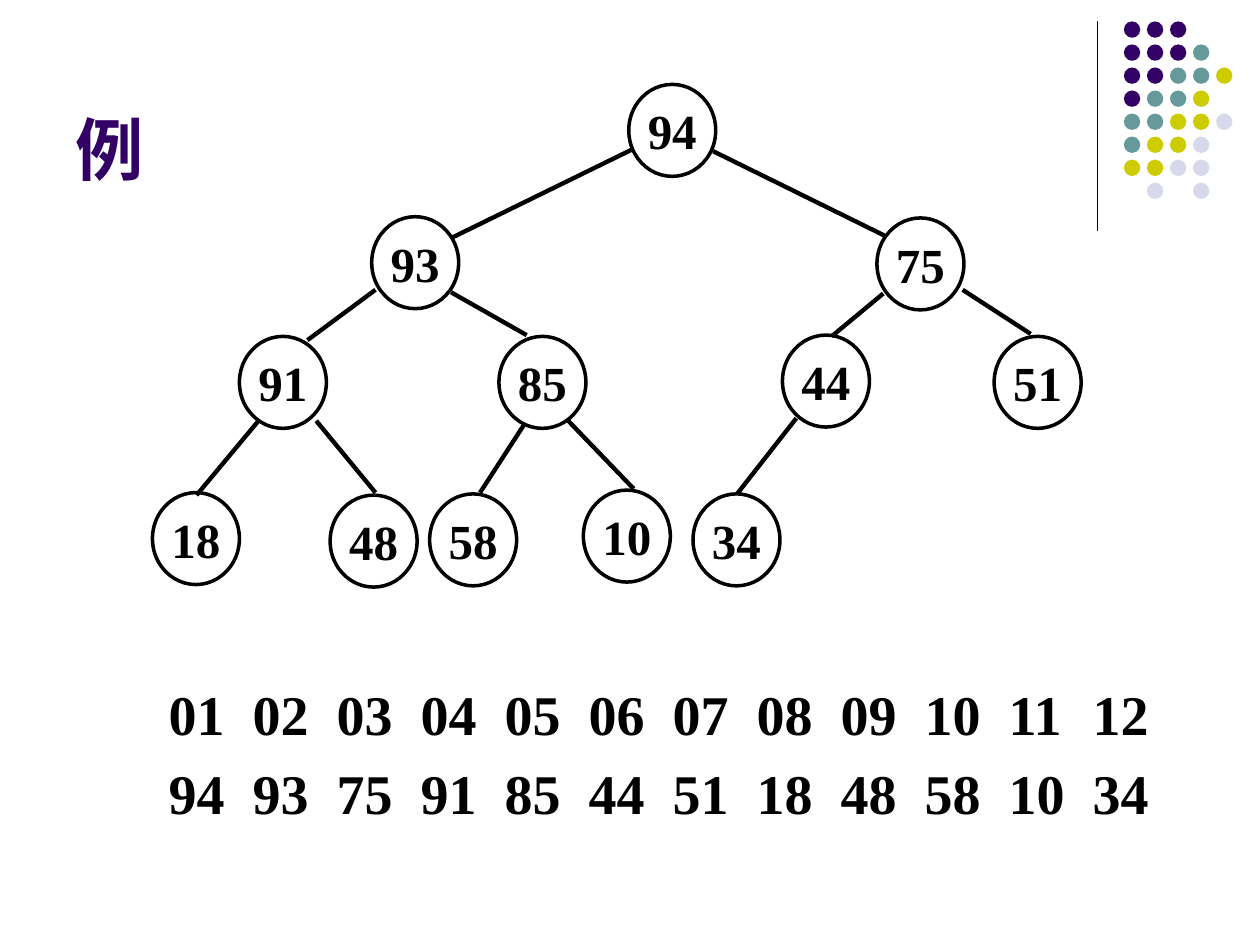
"""Build a slide showing a max-heap as a tree and as an array."""
from lxml import etree
from pptx import Presentation
from pptx.dml.color import RGBColor
from pptx.enum.shapes import MSO_CONNECTOR as CONN, MSO_SHAPE as SHAPE
from pptx.enum.text import MSO_ANCHOR as ANCHOR, PP_ALIGN as ALIGN
from pptx.oxml.ns import qn
from pptx.util import Inches, Pt


def rgb(value):
    return RGBColor.from_string(value)


def add_line(x1, y1, x2, y2, width):
    c = s.shapes.add_connector(CONN.STRAIGHT, Inches(x1), Inches(y1), Inches(x2), Inches(y2))
    c.line.color.rgb = rgb("000000")
    c.line.width = Pt(width)
    etree.SubElement(c._element.spPr, qn("a:effectLst"))


prs = Presentation()
prs.slide_width, prs.slide_height = Inches(10), Inches(7.5)
s = prs.slides.add_slide(prs.slide_layouts[6])

add_line(8.71, 0.17, 8.71, 1.83, 0.75)

colors = {"P": "330066", "T": "669999", "Y": "CCCC00", "L": "D8D8EC"}
dots = ["PPP", "PPPT", "PPTTY", "PTTY", "TTYYL", "TYYL", "YYLL", " L L"]
pitch = 1.28 / 7
for row, marks in enumerate(dots):
    for col, mark in enumerate(marks):
        if mark in colors:
            sp = s.shapes.add_shape(SHAPE.OVAL, Inches(8.92 + col * pitch),
                                    Inches(0.17 + row * pitch), Inches(0.13), Inches(0.13))
            sp.shadow.inherit = False
            sp.fill.solid()
            sp.fill.fore_color.rgb = rgb(colors[mark])
            sp.line.fill.background()

title = s.shapes.add_textbox(Inches(0.5), Inches(0.13), Inches(8.25), Inches(1.42))
tf = title.text_frame
tf.word_wrap = True
tf.vertical_anchor = ANCHOR.BOTTOM
r = tf.paragraphs[0].add_run()
r.text = "例"
for name, value in {"size": Pt(39), "name": "Arial", "bold": True}.items():
    setattr(r.font, name, value)
r.font.color.rgb = rgb("330066")

heap = [94, 93, 75, 91, 85, 44, 51, 18, 48, 58, 10, 34]
places = [(4.99, 0.67), (2.95, 1.72), (6.96, 1.73), (1.9, 2.67), (3.96, 2.67), (6.21, 2.66),
          (7.89, 2.67), (1.21, 3.91), (2.62, 3.93), (3.41, 3.92), (4.63, 3.89), (5.5, 3.92)]
node_font = {"size": Pt(28), "name": "Times New Roman", "bold": True}
frame = {"margin_left": 0, "margin_right": 0, "margin_top": 0, "margin_bottom": 0,
         "word_wrap": False, "vertical_anchor": ANCHOR.MIDDLE}
for key, (x, y) in zip(heap, places):
    sp = s.shapes.add_shape(SHAPE.OVAL, Inches(x), Inches(y), Inches(0.69), Inches(0.73))
    sp.shadow.inherit = False
    sp.fill.background()
    sp.line.color.rgb = rgb("000000")
    sp.line.width = Pt(2)
    tf = sp.text_frame
    for name, value in frame.items():
        setattr(tf, name, value)
    p = tf.paragraphs[0]
    p.alignment = ALIGN.CENTER
    r = p.add_run()
    r.text = str(key)
    for name, value in node_font.items():
        setattr(r.font, name, value)
    r.font.color.rgb = rgb("000000")

edges = [(5.01, 1.19, 3.58, 1.89), (5.66, 1.2, 7.02, 1.87), (2.98, 2.3, 2.44, 2.7),
         (3.58, 2.32, 4.18, 2.66), (7.01, 2.33, 6.6, 2.67), (7.64, 2.3, 8.18, 2.65),
         (2.06, 3.33, 1.56, 3.93), (2.51, 3.34, 2.98, 3.91), (4.16, 3.37, 3.81, 3.91),
         (4.51, 3.34, 5.03, 3.88), (6.32, 3.32, 5.85, 3.92)]
for edge in edges:
    add_line(*edge, 2.5)

array = s.shapes.add_textbox(Inches(1.24), Inches(5.25), Inches(8.6), Inches(1.35))
tf = array.text_frame
tf.word_wrap = True
array_font = {"size": Pt(32), "name": "Times New Roman", "bold": True}
indexes = [f"{i:02d}" for i in range(1, len(heap) + 1)]
for i, values in enumerate([indexes, [str(key) for key in heap]]):
    p = tf.add_paragraph() if i else tf.paragraphs[0]
    p.line_spacing = Pt(45)
    tabs = etree.SubElement(p._p.get_or_add_pPr(), qn("a:tabLst"))
    for col in range(1, len(heap)):
        etree.SubElement(tabs, qn("a:tab"), pos=str(Inches(col * 2 / 3)), algn="l")
    r = p.add_run()
    r.text = "\t".join(values)
    for name, value in array_font.items():
        setattr(r.font, name, value)
    r.font.color.rgb = rgb("000000")

prs.save("out.pptx")
